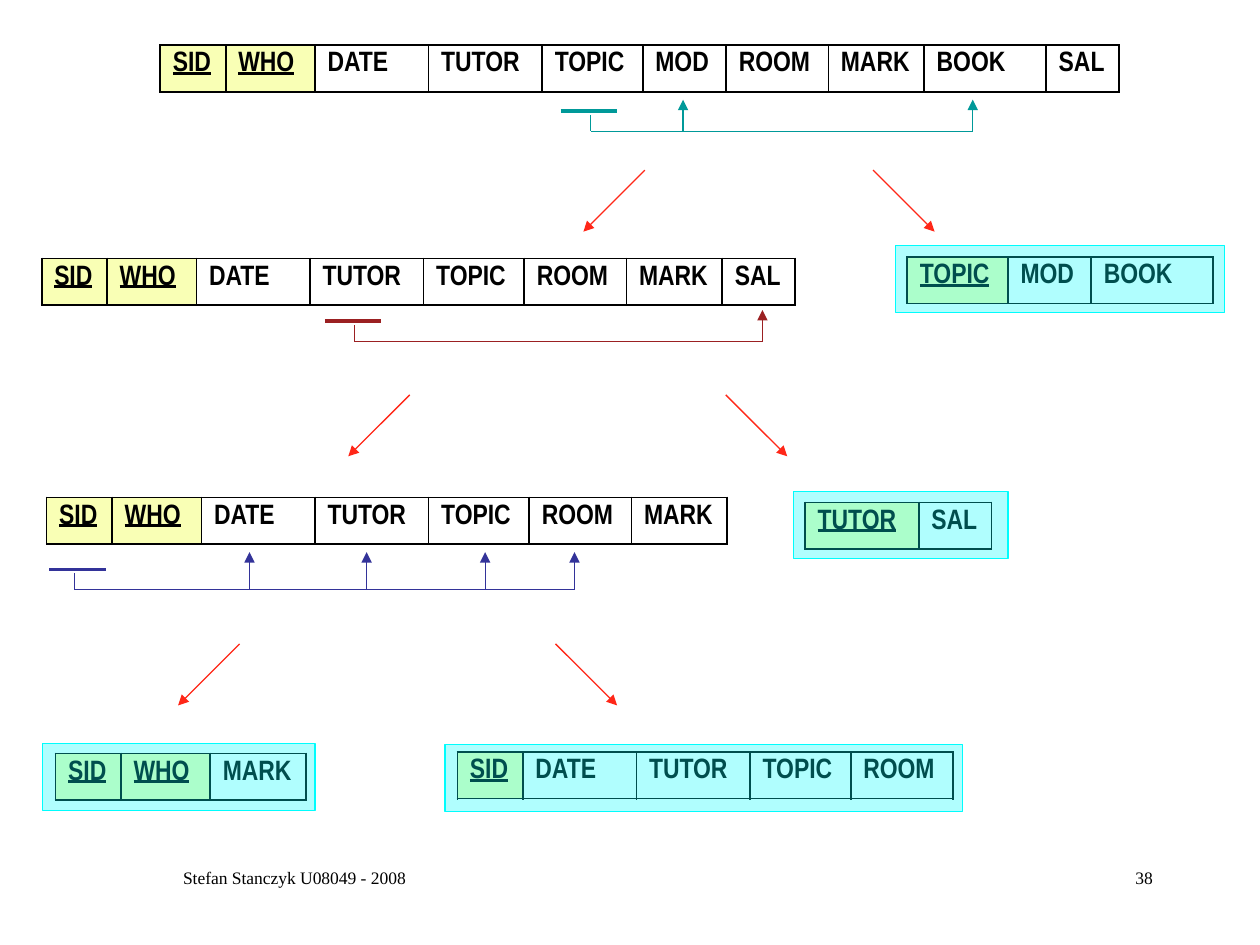
from dataclasses import dataclass

from lxml import etree
from pptx import Presentation
from pptx import util as u
from pptx.dml.color import RGBColor
from pptx.enum import shapes, text
from pptx.oxml import ns


@dataclass(frozen=True)
class Theme:
    ink: str = "000000"
    key_fill: str = "F9FFB5"
    frame: str = "00FDFD"
    frame_alpha: int = 31
    split: str = "FF2718"
    table_font: str = "Arial Narrow"
    footer_font: str = "Times New Roman"
    table_size: float = 16
    footer_size: float = 10
    border: float = 1.08
    thin: float = 0.75
    thick: float = 2.25


@dataclass(frozen=True)
class Relation:
    left: float
    top: float
    keys: str
    others: str


@dataclass(frozen=True)
class Frame:
    left: float
    top: float
    width: float


@dataclass(frozen=True)
class Dependency:
    """A determinant bar with arrows up to the columns it determines."""
    colour: str
    bar_left: float
    bar_y: float
    stem_x: float
    arrow_xs: tuple[float, ...]
    tip_y: float


@dataclass(frozen=True)
class Split:
    left_x: float
    right_x: float
    top: float


THEME = Theme()
COLUMN_WIDTHS = {"SID": 1.32, "WHO": 1.8, "DATE": 2.29, "TUTOR": 2.29, "TOPIC": 2.03,
                 "MOD": 1.68, "ROOM": 2.06, "MARK": 1.93, "BOOK": 2.46, "SAL": 1.47}
ROW_HEIGHT = 0.94
FRAME_HEIGHT = 1.35
BAR_LENGTH = 1.14
STEM_GAP, BASE_GAP = 0.08, 0.41
SPLIT_REACH = 1.24

RELATIONS = (
    Relation(3.23, 0.91, "SID WHO", "DATE TUTOR TOPIC MOD ROOM MARK BOOK SAL"),
    Relation(0.84, 5.21, "SID WHO", "DATE TUTOR TOPIC ROOM MARK SAL"),
    Relation(18.29, 5.18, "TOPIC", "MOD BOOK"),
    Relation(0.94, 10.03, "SID WHO", "DATE TUTOR TOPIC ROOM MARK"),
    Relation(16.23, 10.13, "TUTOR", "SAL"),
    Relation(1.12, 15.19, "SID WHO", "MARK"),
    Relation(9.22, 15.16, "SID", "DATE TUTOR TOPIC ROOM"),
)
FRAMES = (
    Frame(18.06, 4.95, 6.63),
    Frame(16, 9.91, 4.32),
    Frame(0.86, 14.99, 5.49),
    Frame(8.97, 15.01, 10.44),
)
DEPENDENCIES = (
    Dependency("009999", 11.3, 2.24, 11.91, (13.77, 19.61), 2.01),
    Dependency("9B2022", 6.55, 6.48, 7.14, (15.37,), 6.25),
    Dependency("333399", 0.99, 11.48, 1.5, (5.03, 7.39, 9.78, 11.58), 11.13),
)
SPLITS = (Split(13, 17.6, 3.43), Split(8.26, 14.63, 7.96), Split(4.83, 11.2, 12.98))


def rgb(colour: str) -> RGBColor:
    return RGBColor.from_string(colour)


def add_run(paragraph, words: str, font: str, size: float):
    run = paragraph.add_run()
    run.text = words
    run.font.name = font
    run.font.size = u.Pt(size)
    run.font.color.rgb = rgb(THEME.ink)
    return run


def add_borders(cell) -> None:
    properties = cell._tc.get_or_add_tcPr()
    for side in ("a:lnL", "a:lnR", "a:lnT", "a:lnB"):
        border = etree.SubElement(properties, ns.qn(side), w=str(u.Pt(THEME.border)))
        fill = etree.SubElement(border, ns.qn("a:solidFill"))
        etree.SubElement(fill, ns.qn("a:srgbClr"), val=THEME.ink)


def draw_relation(slide, relation: Relation) -> None:
    keys = relation.keys.split()
    names = keys + relation.others.split()
    width = sum(COLUMN_WIDTHS[name] for name in names)
    table = slide.shapes.add_table(1, len(names), u.Cm(relation.left), u.Cm(relation.top),
                                   u.Cm(width), u.Cm(ROW_HEIGHT)).table
    table.first_row = table.horz_banding = False
    for index, name in enumerate(names):
        table.columns[index].width = u.Cm(COLUMN_WIDTHS[name])
        cell = table.cell(0, index)
        add_borders(cell)
        is_key = index < len(keys)
        if is_key:
            cell.fill.solid()
            cell.fill.fore_color.rgb = rgb(THEME.key_fill)
        else:
            cell.fill.background()
        run = add_run(cell.text_frame.paragraphs[0], name, THEME.table_font, THEME.table_size)
        run.font.bold = True
        run.font.underline = is_key


def draw_frame(slide, frame: Frame) -> None:
    box = slide.shapes.add_shape(shapes.MSO_SHAPE.RECTANGLE, u.Cm(frame.left), u.Cm(frame.top),
                                 u.Cm(frame.width), u.Cm(FRAME_HEIGHT))
    box.shadow.inherit = False
    box.fill.solid()
    box.fill.fore_color.rgb = rgb(THEME.frame)
    tint = box.fill._xPr.find(".//" + ns.qn("a:srgbClr"))
    etree.SubElement(tint, ns.qn("a:alpha"), val=str(THEME.frame_alpha * 1000))
    box.line.color.rgb = rgb(THEME.frame)
    box.line.width = u.Pt(THEME.thin)


def draw_line(group, start: tuple[float, float], end: tuple[float, float], colour: str,
              weight: float = THEME.thin, arrow: bool = False) -> None:
    line = group.shapes.add_connector(shapes.MSO_CONNECTOR.STRAIGHT,
                                      *(u.Cm(length) for length in start + end))
    line.line.color.rgb = rgb(colour)
    line.line.width = u.Pt(weight)
    if arrow:
        etree.SubElement(line.line._get_or_add_ln(), ns.qn("a:tailEnd"), type="triangle")
    etree.SubElement(line._element.spPr, ns.qn("a:effectLst"))


def draw_dependency(slide, dependency: Dependency) -> None:
    group = slide.shapes.add_group_shape()
    colour, bar_y, stem_x = dependency.colour, dependency.bar_y, dependency.stem_x
    base_y = bar_y + BASE_GAP
    draw_line(group, (dependency.bar_left, bar_y), (dependency.bar_left + BAR_LENGTH, bar_y),
              colour, THEME.thick)
    draw_line(group, (stem_x, bar_y + STEM_GAP), (stem_x, base_y), colour)
    draw_line(group, (stem_x, base_y), (dependency.arrow_xs[-1], base_y), colour)
    for x in dependency.arrow_xs:
        draw_line(group, (x, base_y), (x, dependency.tip_y), colour, arrow=True)


def draw_split(slide, split: Split) -> None:
    group = slide.shapes.add_group_shape()
    for x, reach in ((split.left_x, -SPLIT_REACH), (split.right_x, SPLIT_REACH)):
        draw_line(group, (x, split.top), (x + reach, split.top + SPLIT_REACH),
                  THEME.split, arrow=True)


def draw_footer(slide, words: str, left: float, width: float, alignment: text.PP_ALIGN) -> None:
    box = slide.shapes.add_textbox(u.Cm(left), u.Cm(17.35), u.Cm(width), u.Cm(1.27))
    box.text_frame.word_wrap = True
    paragraph = box.text_frame.paragraphs[0]
    paragraph.alignment = alignment
    add_run(paragraph, words, THEME.footer_font, THEME.footer_size)


def main() -> None:
    deck = Presentation()
    deck.slide_width, deck.slide_height = u.Cm(25.4), u.Cm(19.05)
    slide = deck.slides.add_slide(deck.slide_layouts[6])
    for draw, items in ((draw_relation, RELATIONS), (draw_frame, FRAMES),
                        (draw_dependency, DEPENDENCIES), (draw_split, SPLITS)):
        for item in items:
            draw(slide, item)
    draw_footer(slide, "Stefan Stanczyk U08049 - 2008", 1.91, 8.05, text.PP_ALIGN.CENTER)
    draw_footer(slide, "38", 18.21, 5.28, text.PP_ALIGN.RIGHT)
    deck.save("out.pptx")


if __name__ == "__main__":
    main()
